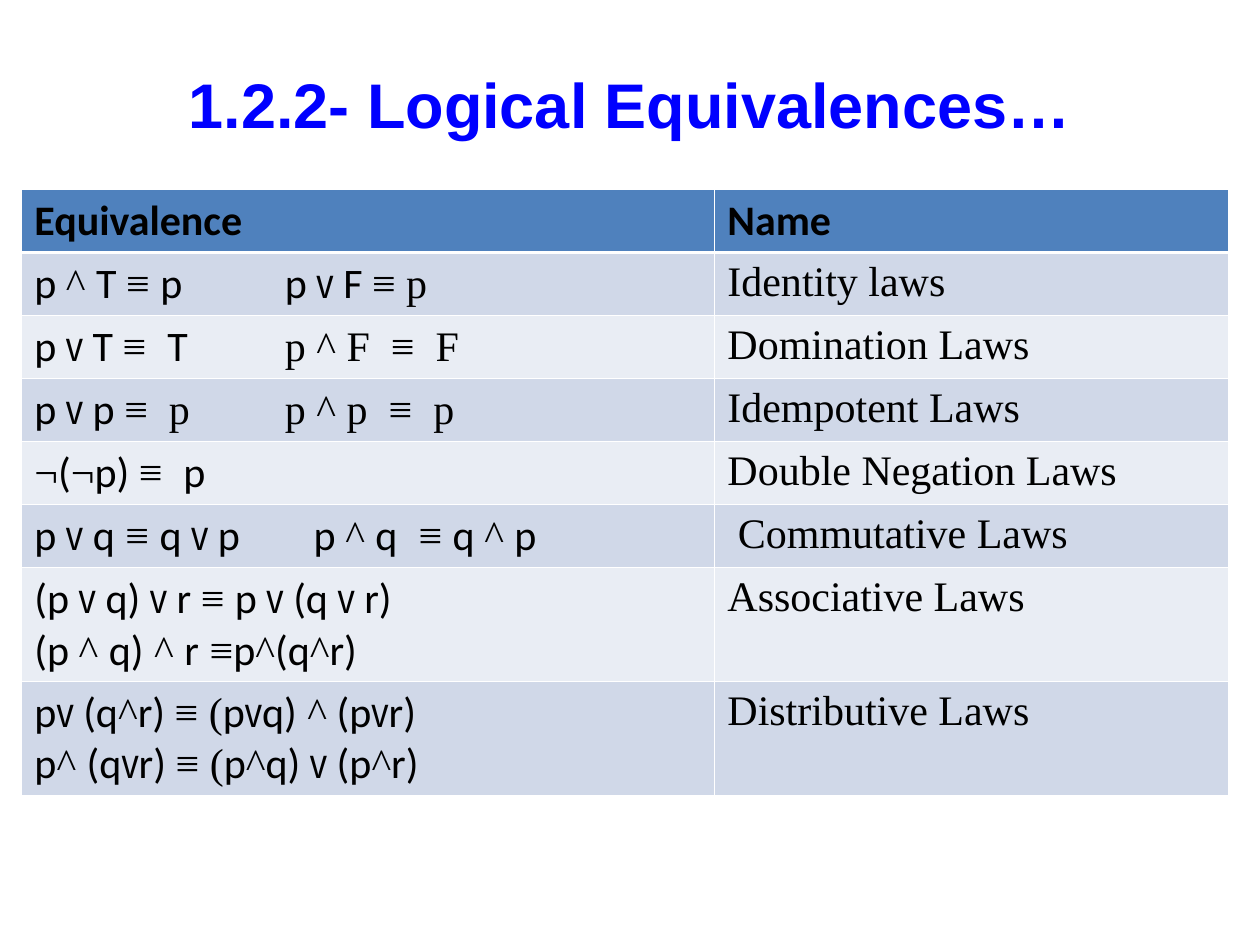
from lxml import etree
from pptx import Presentation
from pptx.dml.color import RGBColor
from pptx.enum import text
from pptx.oxml import ns
from pptx.util import Cm, Pt

COLORS = {
    "title": "0000FF",
    "ink": "000000",
    "header": "4F81BD",
    "odd": "D0D8E8",
    "even": "E9EDF4",
    "rule": "FFFFFF",
}
BODY, SERIF, NARROW = "Calibri", "Times New Roman", "Arial Narrow"
COLUMN_WIDTHS = (13.97, 10.36)
LINE_HEIGHT, ROW_PADDING = 1.02, 0.25
SECOND_FORMULA = 5.05  # tab stop of the second formula in a row
THIN, THICK = 0.45, 1.47

# Name, formula lines (runs parted by "|"), tab stop
LAWS = [
    ("Identity laws", ["p |^ |T |≡ |p\tp |v |F |≡ p"], SECOND_FORMULA),
    ("Domination Laws", ["p |v| T |≡  |T|\tp ^ F  ≡  F"], SECOND_FORMULA),
    ("Idempotent Laws", ["p |v| p |≡  p\tp ^ p  ≡  p"], SECOND_FORMULA),
    ("Double Negation Laws", ["¬|(|¬|p) |≡  |p"], SECOND_FORMULA),
    (" Commutative Laws", ["p |v |q| ≡ |q |v |p\tp |^ |q|  ≡ |q |^ |p"], 5.63),
    ("Associative Laws", ["(p |v |q) |v |r |≡ |p |v |(q |v |r)",
                          "(p |^ |q)| ^ |r| ≡|p|^|(q|^|r)"], SECOND_FORMULA),
    ("Distributive Laws", ["p|v |(q|^|r) |≡ (|p|v|q)| ^| (p|v|r)",
                           "p|^ |(q|v|r) |≡ (|p|^|q)| v |(p|^|r)"], SECOND_FORMULA),
]


def add_run(paragraph, words, font, size, color, bold=False):
    run = paragraph.add_run()
    run.text = words
    run.font.name, run.font.size, run.font.bold = font, Pt(size), bold
    run.font.color.rgb = RGBColor.from_string(COLORS[color])


def formula_font(piece):
    """Logic signs are serif, the letter v as 'or' is narrow, the rest is body."""
    if any(sign in piece for sign in "^≡¬"):
        return SERIF
    return NARROW if piece.strip() == "v" else BODY


def set_tab(paragraph, position):
    stops = etree.SubElement(paragraph._p.get_or_add_pPr(), ns.qn("a:tabLst"))
    etree.SubElement(stops, ns.qn("a:tab"), pos=str(Cm(position)), algn="l")


def style_cell(cell, fill, top=THIN, bottom=THIN):
    # Borders come before the fill in the cell properties
    properties = cell._tc.get_or_add_tcPr()
    for side, width in zip("LRTB", (THIN, THIN, top, bottom)):
        line = etree.SubElement(properties, ns.qn("a:ln" + side), w=str(Pt(width)))
        solid = etree.SubElement(line, ns.qn("a:solidFill"))
        etree.SubElement(solid, ns.qn("a:srgbClr"), val=COLORS["rule"])
    cell.fill.solid()
    cell.fill.fore_color.rgb = RGBColor.from_string(COLORS[fill])


def add_title(slide, left, top, width, height):
    frame = slide.shapes.add_textbox(Cm(left), Cm(top), Cm(width), Cm(height)).text_frame
    frame.word_wrap = True
    frame.vertical_anchor = text.MSO_ANCHOR.MIDDLE
    heading = frame.paragraphs[0]
    heading.alignment = text.PP_ALIGN.CENTER
    add_run(heading, "1.2.2- Logical Equivalences…", "Arial", 36, "title", True)


def add_laws_table(slide, left, top):
    line_counts = [1] + [len(lines) for _, lines, _ in LAWS]
    heights = [ROW_PADDING + LINE_HEIGHT * count for count in line_counts]
    table = slide.shapes.add_table(
        len(heights), len(COLUMN_WIDTHS), Cm(left), Cm(top),
        Cm(sum(COLUMN_WIDTHS)), Cm(sum(heights))).table
    for column, width in zip(table.columns, COLUMN_WIDTHS):
        column.width = Cm(width)
    for row, height in zip(table.rows, heights):
        row.height = Cm(height)

    # Header row
    for cell, label in zip(table.rows[0].cells, ("Equivalence", "Name")):
        style_cell(cell, "header", bottom=THICK)
        add_run(cell.text_frame.paragraphs[0], label, BODY, 24, "ink", True)

    # One row for each law
    for number, (name, lines, tab) in enumerate(LAWS, start=1):
        formula_cell, name_cell = table.rows[number].cells
        for cell in (formula_cell, name_cell):
            style_cell(cell, "odd" if number % 2 else "even",
                       top=THICK if number == 1 else THIN)
        frame = formula_cell.text_frame
        for index, line in enumerate(lines):
            paragraph = frame.add_paragraph() if index else frame.paragraphs[0]
            if "\t" in line:
                set_tab(paragraph, tab)
            for piece in line.split("|"):
                add_run(paragraph, piece, formula_font(piece), 24, "ink")
        add_run(name_cell.text_frame.paragraphs[0], name, SERIF, 24, "ink")


def main():
    deck = Presentation()
    deck.slide_width, deck.slide_height = Cm(25.4), Cm(19.05)
    slide = deck.slides.add_slide(deck.slide_layouts[6])
    add_title(slide, 1.27, 1.2, 22.86, 1.78)
    add_laws_table(slide, 0.44, 3.82)
    deck.save("out.pptx")


if __name__ == "__main__":
    main()
